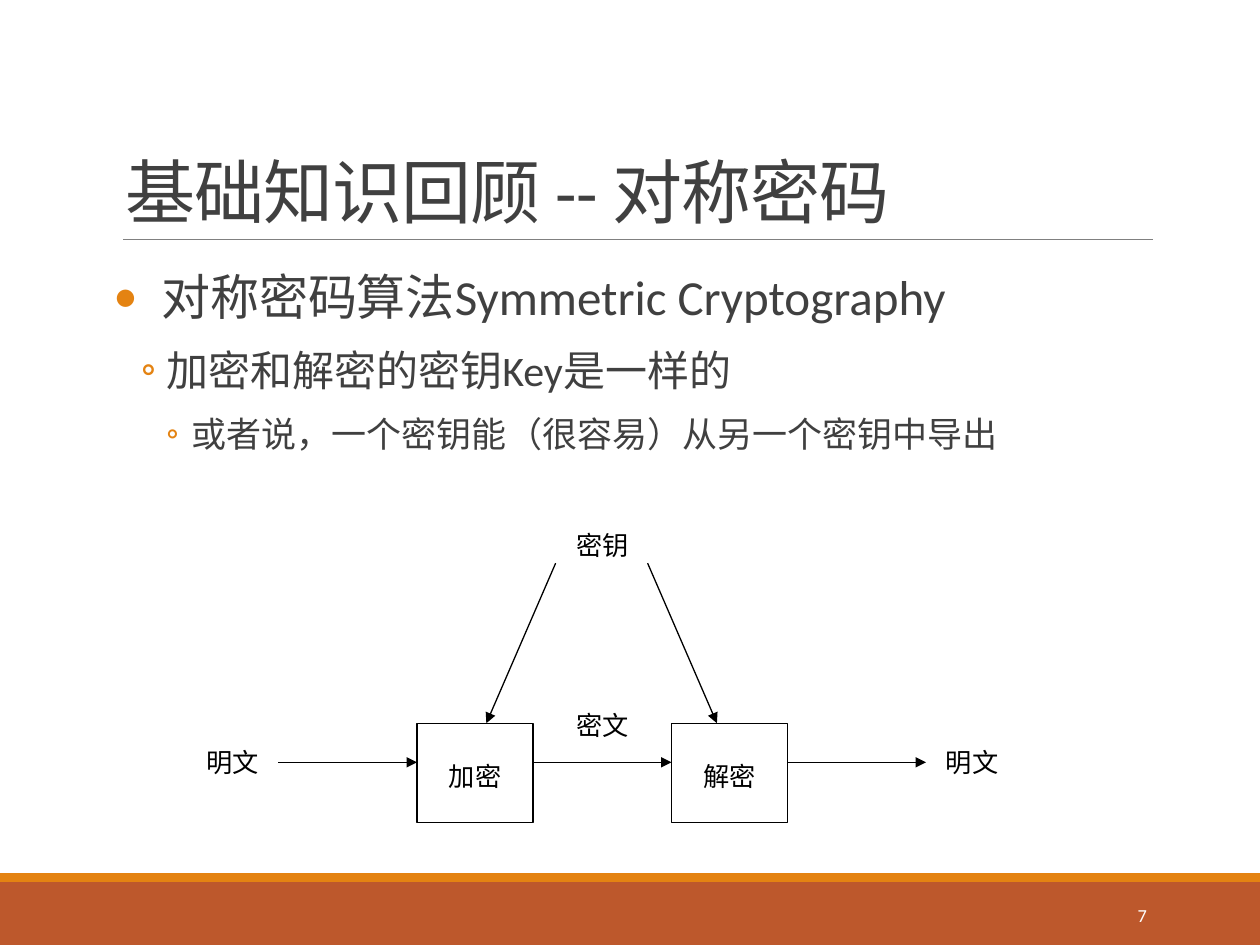
from dataclasses import dataclass

from lxml.etree import SubElement
from pptx import Presentation
from pptx.dml.color import RGBColor
from pptx.enum.shapes import MSO_CONNECTOR as Line, MSO_SHAPE as Preset
from pptx.enum.text import MSO_ANCHOR as Anchor, PP_ALIGN as Align
from pptx.oxml.ns import qn
from pptx.util import Inches, Pt

BLACK, WHITE, GREY, ORANGE, RUST = "000000", "FFFFFF", "404040", "E48312", "BD582C"
SERIF, SANS = "Times New Roman", "Calibri"
PITCH, FLOW_Y, BOX_TOP = 2.02, 6.05, 5.74


@dataclass
class Bullet:
    text: str
    size: float
    mark: str
    margin: float
    hanging: float


@dataclass
class Label:
    text: str
    left: float
    top: float


BULLETS = [
    Bullet("对称密码算法Symmetric Cryptography", 28, "•", 0.38, 0.38),
    Bullet("加密和解密的密钥Key是一样的", 24, "◦", 0.42, 0.2),
    Bullet("或者说，一个密钥能（很容易）从另一个密钥中导出", 20, "◦", 0.62, 0.2),
]
LABELS = [
    Label("密钥", 4.05, 4.15),
    Label("密文", 4.05, 5.58),
    Label("明文", 1.11, 5.87),
    Label("明文", 6.98, 5.87),
]


def colour(code: str) -> RGBColor:
    return RGBColor.from_string(code)


def add_span(para, text: str, size: float, font: str, code: str):
    span = para.add_run()
    span.text = text
    span.font.size = Pt(size)
    span.font.name = font
    span.font.color.rgb = colour(code)
    return span


def add_text_box(page, left: float, top: float, width: float, height: float, anchor=Anchor.TOP):
    frame = page.shapes.add_textbox(
        Inches(left), Inches(top), Inches(width), Inches(height)).text_frame
    frame.word_wrap = True
    frame.vertical_anchor = anchor
    return frame


def add_rectangle(page, left: float, top: float, width: float, height: float, fill: str):
    box = page.shapes.add_shape(
        Preset.RECTANGLE, Inches(left), Inches(top), Inches(width), Inches(height))
    box.shadow.inherit = False
    box.fill.solid()
    box.fill.fore_color.rgb = colour(fill)
    box.line.fill.background()
    return box


def add_line(page, x1: float, y1: float, x2: float, y2: float, code: str, weight: float):
    line = page.shapes.add_connector(
        Line.STRAIGHT, Inches(x1), Inches(y1), Inches(x2), Inches(y2))
    line.line.color.rgb = colour(code)
    line.line.width = Pt(weight)
    SubElement(line._element.spPr, qn("a:effectLst"))
    return line


def add_arrow(page, x1: float, y1: float, x2: float, y2: float) -> None:
    arrow = add_line(page, x1, y1, x2, y2, BLACK, 0.75)
    SubElement(arrow.line._get_or_add_ln(), qn("a:tailEnd"), type="triangle")


def add_process(page, text: str, left: float) -> None:
    box = add_rectangle(page, left, BOX_TOP, 0.92, 0.79, WHITE)
    box.line.color.rgb = colour(BLACK)
    box.line.width = Pt(0.75)
    frame = box.text_frame
    frame.vertical_anchor = Anchor.MIDDLE
    frame.margin_top = Inches(0.1)
    para = frame.paragraphs[0]
    para.alignment = Align.CENTER
    add_span(para, text, 15, SERIF, BLACK)


def add_bullets(page, bullets: list[Bullet]) -> None:
    frame = add_text_box(page, 0.9, 2.02, 8.25, 4.4)
    frame.margin_left = frame.margin_right = 0
    for level, bullet in enumerate(bullets):
        para = frame.add_paragraph() if level else frame.paragraphs[0]
        para.level = level
        para.line_spacing = 1.1
        para.space_before = para.space_after = Pt(4)
        props = para._p.get_or_add_pPr()
        props.set("marL", str(Inches(bullet.margin)))
        props.set("indent", str(-Inches(bullet.hanging)))
        SubElement(SubElement(props, qn("a:buClr")), qn("a:srgbClr"), val=ORANGE)
        SubElement(props, qn("a:buFont"), typeface=SANS)
        SubElement(props, qn("a:buChar"), char=bullet.mark)
        add_span(para, bullet.text, bullet.size, SANS, GREY)


def add_diagram(page) -> None:
    for index, text in enumerate(("加密", "解密")):
        add_process(page, text, 3.31 + index * PITCH)
    for index in range(3):
        start = 2.21 + index * PITCH
        add_arrow(page, start, FLOW_Y, start + 1.1, FLOW_Y)
    for start, end in ((4.41, 3.86), (5.14, 5.69)):
        add_arrow(page, start, 4.47, end, BOX_TOP)
    for label in LABELS:
        para = add_text_box(page, label.left, label.top, 1.47, 0.48).paragraphs[0]
        para.alignment = Align.CENTER
        add_span(para, label.text, 15, SERIF, BLACK)


def main() -> None:
    """Build the slide on symmetric cryptography."""
    deck = Presentation()
    deck.slide_width, deck.slide_height = Inches(10), Inches(7.5)
    page = deck.slides.add_slide(deck.slide_layouts[6])
    add_rectangle(page, 0, 7, 10, 0.5, RUST)
    add_rectangle(page, 0, 6.93, 10, 0.07, ORANGE)
    add_line(page, 0.98, 1.9, 9.15, 1.9, "808080", 0.5)

    title = add_text_box(page, 0.9, 0.31, 8.25, 1.59, Anchor.BOTTOM).paragraphs[0]
    title.line_spacing = 0.85
    span = add_span(title, "基础知识回顾 -- 对称密码", 40, SANS, GREY)
    span._r.get_or_add_rPr().set("spc", "-50")

    add_bullets(page, BULLETS)
    add_diagram(page)

    number = add_text_box(page, 8.12, 7.06, 1.08, 0.4, Anchor.MIDDLE).paragraphs[0]
    number.alignment = Align.RIGHT
    add_span(number, "7", 10.5, SANS, WHITE)
    deck.save("out.pptx")


if __name__ == "__main__":
    main()
